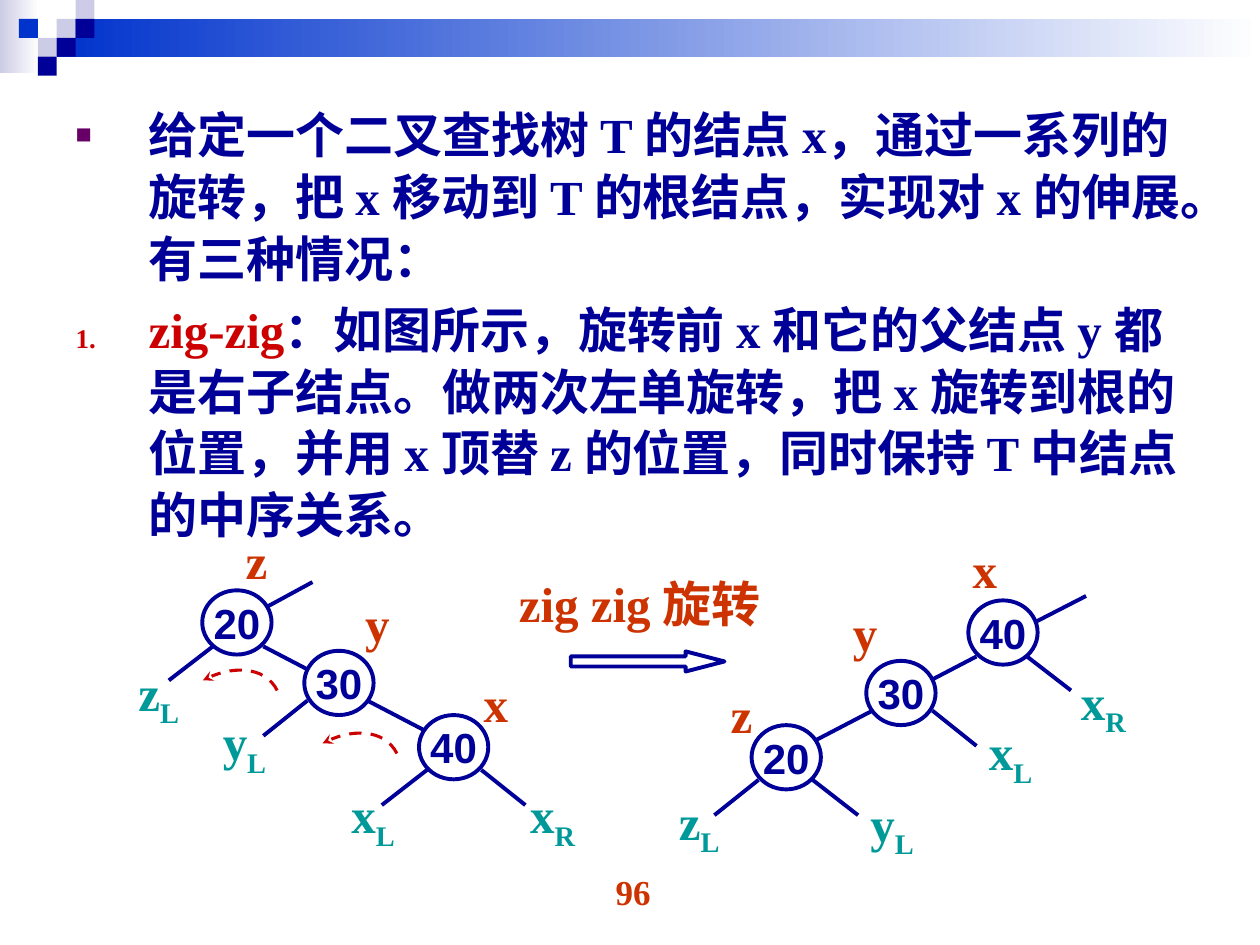
from lxml.etree import SubElement
from pptx import Presentation
from pptx.dml.color import RGBColor
from pptx.enum.dml import MSO_LINE
from pptx.enum.shapes import MSO_CONNECTOR, MSO_SHAPE
from pptx.enum.text import MSO_ANCHOR, MSO_AUTO_SIZE, PP_ALIGN
from pptx.oxml.ns import qn
from pptx.util import Inches, Pt

NAVY = RGBColor(0x00, 0x00, 0x99)
BLUE = RGBColor(0x00, 0x33, 0xCC)
LAVENDER = RGBColor(0xCC, 0xCC, 0xE6)
WHITE = RGBColor(0xFF, 0xFF, 0xFF)
RED = RGBColor(0xCC, 0x00, 0x00)
ORANGE = RGBColor(0xCC, 0x33, 0x00)
TEAL = RGBColor(0x00, 0x99, 0x99)
PURPLE = RGBColor(0x66, 0x00, 0x66)
SERIF, SANS = "Times New Roman", "Arial"

BODY = [
    (("buChar", {"char": "■"}), PURPLE, [
        ("给定一个二叉查找树 T 的结点 x，通过一系列的旋转，把 x 移动到 T 的根结点，"
         "实现对 x 的伸展。有三种情况：", SERIF, NAVY)]),
    (("buAutoNum", {"type": "arabicPeriod"}), RED, [
        ("zig-zig", SERIF, RED),
        ("：如图", SANS, NAVY),
        ("所示，旋转前 x 和它的父结点 y 都是右子结点。做两次左单旋转，把 x 旋转到根的位置，"
         "并用 x 顶替 z 的位置，同时保持 T 中结点的中序关系。", SERIF, NAVY)]),
]

GRADIENT_BARS = [(0, 0, 0.31, 0.58, LAVENDER), (0.45, 0.15, 9.55, 0.3, BLUE)]
TILE = 0.15
TILES = [(3, 1, LAVENDER), (4, 0, LAVENDER), (4, 1, NAVY), (2, 2, LAVENDER),
         (1, 1, BLUE), (3, 2, NAVY), (2, 3, NAVY)]

NODE_SIZE = (0.55, 0.51)
NODE_CENTRES = [(1.88, 4.94), (2.69, 5.42), (3.6, 5.93)]
BRANCHES = [((2.09, 5.13), (3.74, 5.99)), ((1.69, 5.13), (1.34, 5.4)),
            ((2.44, 5.56), (2.09, 5.84)), ((3.39, 6.11), (3.03, 6.39)),
            ((3.82, 6.11), (4.17, 6.39))]
MIRROR_SUM, MIRROR_DROP = 9.84, 0.08
TREES = [
    {"mirrored": False, "keys": ["20", "30", "40"], "parent": ((2.48, 4.62), (2.13, 4.81)),
     "names": [("z", 1.85, 4.16), ("y", 2.8, 4.66), ("x", 3.74, 5.3)],
     "subtrees": [("z", "L", 1, 5.21), ("y", "L", 1.67, 5.6),
                  ("x", "L", 2.69, 6.18), ("x", "R", 4.11, 6.18)]},
    {"mirrored": True, "keys": ["40", "30", "20"], "parent": ((8.62, 4.73), (8.23, 4.93)),
     "names": [("x", 7.62, 4.23), ("y", 6.67, 4.73), ("z", 5.7, 5.38)],
     "subtrees": [("x", "R", 8.48, 5.28), ("x", "L", 7.75, 5.68),
                  ("y", "L", 6.81, 6.25), ("z", "L", 5.29, 6.23)]},
]
ROTATION_CURVE = [(2.2, 5.48), (2.1, 5.28), (1.83, 5.28), (1.61, 5.4)]
ROTATION_OFFSETS = [(0, 0), (0.95, 0.5)]
CURVE_STEPS = 16


def add_run(paragraph, text, font_name, color, size=28):
    run = paragraph.add_run()
    run.text = text
    font = {"name": font_name, "size": Pt(size), "bold": True}
    for name, value in font.items():
        setattr(run.font, name, value)
    run.font.color.rgb = color
    return run


def add_preset(slide, preset, left, top, width, height, fill, line=None):
    shape = slide.shapes.add_shape(preset, *map(Inches, (left, top, width, height)))
    shape.shadow.inherit = False
    shape.fill.solid()
    shape.fill.fore_color.rgb = fill
    if line is None:
        shape.line.fill.background()
    else:
        shape.line.color.rgb = line
        shape.line.width = Pt(2.25)
    return shape


def add_label(slide, text, left, top, width, height, color, size=28, wrap=False):
    box = slide.shapes.add_textbox(*map(Inches, (left, top, width, height)))
    box.text_frame.word_wrap = wrap
    box.text_frame.auto_size = MSO_AUTO_SIZE.SHAPE_TO_FIT_TEXT
    paragraph = box.text_frame.paragraphs[0]
    add_run(paragraph, text, SERIF, color, size)
    return paragraph


def add_branch(slide, start, end):
    branch = slide.shapes.add_connector(MSO_CONNECTOR.STRAIGHT, *map(Inches, start + end))
    branch.line.color.rgb = NAVY
    branch.line.width = Pt(2.25)
    SubElement(branch._element.spPr, qn("a:effectLst"))


def add_decoration(slide):
    for *box, color in GRADIENT_BARS:
        bar = add_preset(slide, MSO_SHAPE.RECTANGLE, *box, color)
        bar.fill.gradient()
        bar.fill.gradient_angle = 0
        for stop, stop_color in zip(bar.fill.gradient_stops, (color, WHITE)):
            stop.color.rgb = stop_color
    for column, row, color in TILES:
        add_preset(slide, MSO_SHAPE.RECTANGLE, column * TILE, row * TILE, TILE, TILE, color)


def fill_body(slide):
    slide.shapes.title._element.getparent().remove(slide.shapes.title._element)
    body = slide.placeholders[1]
    place = {"left": 0.5, "top": 0.76, "width": 9, "height": 5.2}
    for name, value in place.items():
        setattr(body, name, Inches(value))
    frame = body.text_frame
    frame.auto_size = MSO_AUTO_SIZE.NONE
    frame.vertical_anchor = MSO_ANCHOR.TOP
    for index, ((marker, attributes), marker_color, runs) in enumerate(BODY):
        paragraph = frame.add_paragraph() if index else frame.paragraphs[0]
        paragraph.line_spacing = 1.05
        paragraph.space_before = Pt(5.2)
        properties = paragraph._p.get_or_add_pPr()
        properties.set("marL", str(Inches(0.58)))
        properties.set("indent", str(-Inches(0.58)))
        SubElement(SubElement(properties, qn("a:buClr")), qn("a:srgbClr"), val=str(marker_color))
        SubElement(properties, qn("a:buSzPct"), val="55000")
        SubElement(properties, qn("a:buFont"), typeface=SERIF)
        SubElement(properties, qn(f"a:{marker}"), attributes)
        for text, font_name, color in runs:
            add_run(paragraph, text, font_name, color)


def add_node(slide, key, centre):
    width, height = NODE_SIZE
    node = add_preset(slide, MSO_SHAPE.OVAL, centre[0] - width / 2, centre[1] - height / 2,
                      width, height, WHITE, NAVY)
    frame = node.text_frame
    layout = {"margin_left": 0, "margin_right": 0, "margin_top": 0, "margin_bottom": 0,
              "word_wrap": False, "vertical_anchor": MSO_ANCHOR.MIDDLE}
    for name, value in layout.items():
        setattr(frame, name, value)
    frame.paragraphs[0].alignment = PP_ALIGN.CENTER
    add_run(frame.paragraphs[0], key, SANS, NAVY, 24)


def add_tree(slide, tree):
    def place(point):
        if tree["mirrored"]:
            return MIRROR_SUM - point[0], point[1] + MIRROR_DROP
        return point

    for start, end in BRANCHES:
        add_branch(slide, place(start), place(end))
    add_branch(slide, *tree["parent"])
    for key, centre in zip(tree["keys"], NODE_CENTRES):
        add_node(slide, key, place(centre))
    for name, left, top in tree["names"]:
        add_label(slide, name, left, top, 0.38, 0.57, ORANGE)
    for name, side, left, top in tree["subtrees"]:
        paragraph = add_label(slide, name, left, top, 0.56, 0.63, TEAL)
        subscript = add_run(paragraph, side, SERIF, TEAL)
        subscript._r.get_or_add_rPr().set("baseline", "-25000")


def curve_point(t, offset):
    weights = ((1 - t) ** 3, 3 * t * (1 - t) ** 2, 3 * t ** 2 * (1 - t), t ** 3)
    return tuple(Inches(shift + sum(w * point[axis] for w, point in zip(weights, ROTATION_CURVE)))
                 for axis, shift in enumerate(offset))


def add_rotation_arrow(slide, offset):
    start, *rest = [curve_point(step / CURVE_STEPS, offset) for step in range(CURVE_STEPS + 1)]
    builder = slide.shapes.build_freeform(*start)
    builder.add_line_segments(rest, close=False)
    arrow = builder.convert_to_shape()
    arrow.shadow.inherit = False
    arrow.fill.background()
    arrow.line.color.rgb = RED
    arrow.line.width = Pt(1.75)
    arrow.line.dash_style = MSO_LINE.DASH
    SubElement(arrow.line._get_or_add_ln(), qn("a:tailEnd"), type="stealth")


def main():
    presentation = Presentation()
    presentation.slide_width, presentation.slide_height = Inches(10), Inches(7.5)
    slide = presentation.slides.add_slide(presentation.slide_layouts[1])
    add_decoration(slide)
    fill_body(slide)
    for tree in TREES:
        add_tree(slide, tree)
    for offset in ROTATION_OFFSETS:
        add_rotation_arrow(slide, offset)
    arrow = add_preset(slide, MSO_SHAPE.RIGHT_ARROW, 4.53, 5.17, 1.22, 0.16, WHITE, NAVY)
    arrow.adjustments[1] = 1.93
    add_label(slide, "zig zig 旋转", 4.02, 4.5, 2.42, 0.57, ORANGE, wrap=True)
    number = add_label(slide, "96", 3.86, 6.86, 2.33, 0.52, ORANGE, 20, wrap=True)
    number.alignment = PP_ALIGN.CENTER
    presentation.save("out.pptx")


if __name__ == "__main__":
    main()
